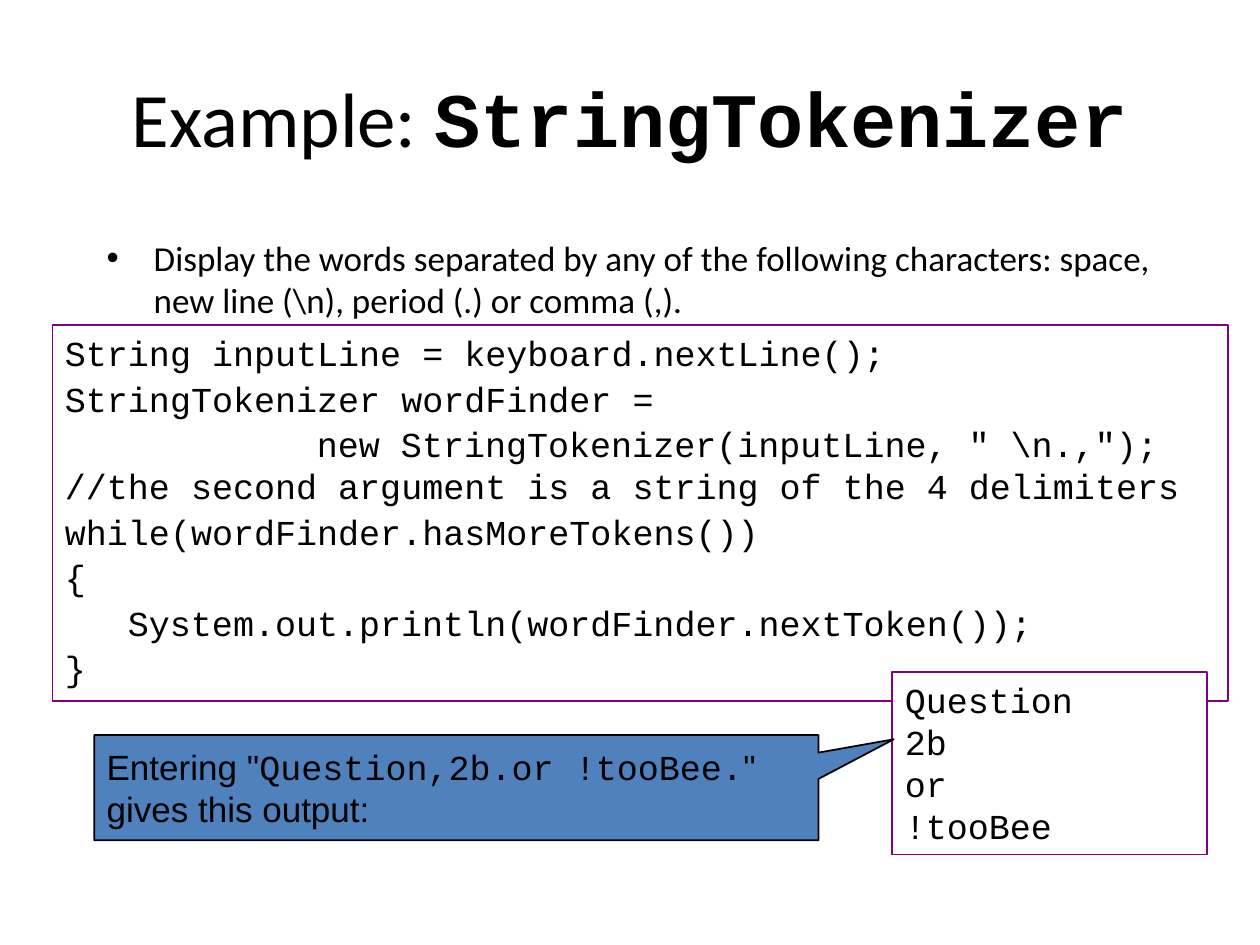
from dataclasses import dataclass

from pptx import Presentation
from pptx.dml.color import RGBColor
from pptx.enum.shapes import MSO_SHAPE as Shape
from pptx.enum.text import MSO_ANCHOR as Anchor, PP_ALIGN as Align
from pptx.oxml.xmlchemy import OxmlElement
from pptx.util import Cm, Pt

TITLE_ONLY = 5


@dataclass(frozen=True)
class Theme:
    text: RGBColor = RGBColor(0, 0, 0)
    paper: RGBColor = RGBColor(255, 255, 255)
    frame: RGBColor = RGBColor(0x80, 0, 0x80)
    callout: RGBColor = RGBColor(0x4F, 0x81, 0xBD)
    heading_font: str = "Calibri"
    code_font: str = "Courier New"
    note_font: str = "Arial"
    title_size: Pt = Pt(44)
    body_size: Pt = Pt(20)
    line_width: Pt = Pt(1)
    code_gap: Pt = Pt(2)
    code_character: Pt = Pt(12)  # advance of one monospaced letter


THEME = Theme()

CODE = [  # (indent in characters, text)
    (0, "String inputLine = keyboard.nextLine();"),
    (0, "StringTokenizer wordFinder ="),
    (12, 'new StringTokenizer(inputLine, " \\n.,");\n'
         "//the second argument is a string of the 4 delimiters"),
    (0, "while(wordFinder.hasMoreTokens())"),
    (0, "{"),
    (3, "System.out.println(wordFinder.nextToken());"),
    (0, "}"),
]
OUTPUT = [(0, "Question\n2b\nor\n!tooBee")]


def place(shape, box):
    shape.left, shape.top, shape.width, shape.height = (Cm(length) for length in box)


def format_run(run, font, size=THEME.body_size, bold=False):
    run.font.name = font
    run.font.size = size
    run.font.bold = bold
    run.font.color.rgb = THEME.text


def add_runs(paragraph, parts, **style):
    for text, font, bold in parts:
        run = paragraph.add_run()
        run.text = text
        format_run(run, font, bold=bold, **style)


def set_indent(paragraph, margin, first_line):
    properties = paragraph._p.get_or_add_pPr()
    properties.set("marL", str(int(margin)))
    properties.set("indent", str(int(first_line)))
    return properties


def add_panel(slide, preset, box, fill, line, anchor):
    shape = slide.shapes.add_shape(preset, *(Cm(length) for length in box))
    shape.shadow.inherit = False
    shape.fill.solid()
    shape.fill.fore_color.rgb = fill
    shape.line.color.rgb = line
    shape.line.width = THEME.line_width
    shape.text_frame.word_wrap = True
    shape.text_frame.vertical_anchor = anchor
    return shape


def add_title(slide, box):
    title = slide.shapes.title
    place(title, box)
    title.text_frame.vertical_anchor = Anchor.MIDDLE
    paragraph = title.text_frame.paragraphs[0]
    paragraph.alignment = Align.CENTER
    add_runs(paragraph, [("Example: ", THEME.heading_font, False),
                         ("StringTokenizer", THEME.code_font, True)],
             size=THEME.title_size)


def add_bullet_text(slide, box, text):
    frame = slide.shapes.add_textbox(*(Cm(length) for length in box)).text_frame
    frame.word_wrap = True
    paragraph = frame.paragraphs[0]
    paragraph.space_before = Pt(4)
    add_runs(paragraph, [(text, THEME.heading_font, False)])
    properties = set_indent(paragraph, Cm(0.95), -Cm(0.95))
    bullet_font = OxmlElement("a:buFont")
    bullet_font.set("typeface", THEME.note_font)
    bullet = OxmlElement("a:buChar")
    bullet.set("char", "•")
    properties.extend([bullet_font, bullet])


def add_code_box(slide, box, lines):
    panel = add_panel(slide, Shape.RECTANGLE, box, THEME.paper, THEME.frame, Anchor.TOP)
    frame = panel.text_frame
    for number, (indent, text) in enumerate(lines):
        paragraph = frame.add_paragraph() if number else frame.paragraphs[0]
        paragraph.text = text
        paragraph.alignment = Align.LEFT
        paragraph.space_after = THEME.code_gap
        set_indent(paragraph, 0, indent * THEME.code_character)
        for run in paragraph.runs:
            format_run(run, THEME.code_font)


def add_callout(slide, box):
    callout = add_panel(slide, Shape.RECTANGULAR_CALLOUT, box, THEME.callout,
                        THEME.text, Anchor.MIDDLE)
    # Tip position, as a share of the box measured from its centre
    callout.adjustments[0] = 0.604
    callout.adjustments[1] = -0.46
    paragraph = callout.text_frame.paragraphs[0]
    paragraph.alignment = Align.LEFT
    paragraph.space_after = THEME.code_gap
    add_runs(paragraph, [('Entering "', THEME.note_font, False),
                         ("Question,2b.or !tooBee.", THEME.code_font, False),
                         ('" gives this output:', THEME.note_font, False)])


def main():
    presentation = Presentation()
    presentation.slide_width, presentation.slide_height = Cm(25.4), Cm(19.05)
    slide = presentation.slides.add_slide(presentation.slide_layouts[TITLE_ONLY])

    # Heading and task
    add_title(slide, (1.27, 0.76, 22.86, 3.18))
    add_bullet_text(slide, (1.9, 4.65, 21.6, 12.9),
                    "Display the words separated by any of the following characters: "
                    "space, new line (\\n), period (.) or comma (,).")

    # Program, its output and the input that gives it
    add_code_box(slide, (1.06, 6.56, 23.7, 7.57), CODE)
    add_code_box(slide, (17.99, 13.55, 6.35, 3.68), OUTPUT)
    add_callout(slide, (1.9, 14.82, 14.6, 2.12))

    presentation.save("out.pptx")


if __name__ == "__main__":
    main()
